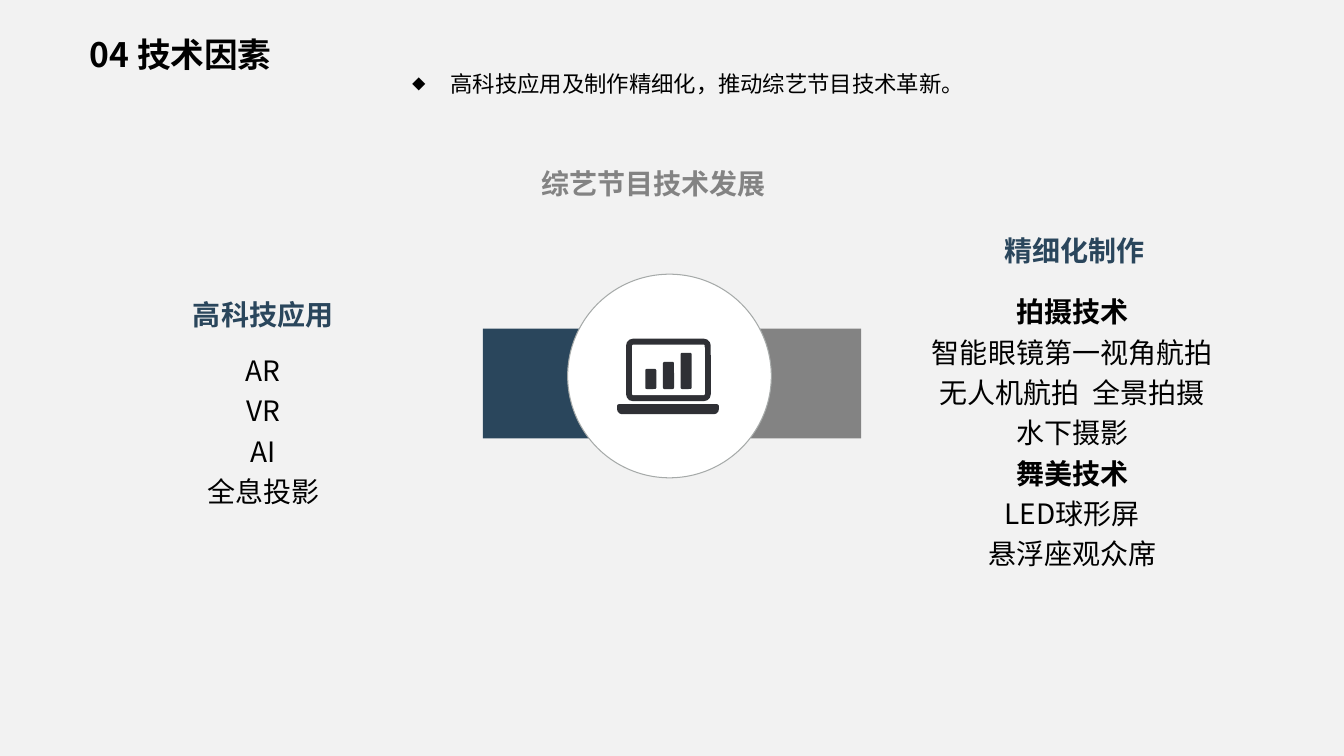
from lxml import etree
from pptx import Presentation
from pptx.dml.color import RGBColor
from pptx.enum import shapes, text
from pptx.oxml import ns
from pptx.util import Inches, Pt

FONT = "Noto Sans CJK SC"
BLACK = RGBColor(0x00, 0x00, 0x00)
WHITE = RGBColor(0xFF, 0xFF, 0xFF)
PAPER = RGBColor(0xF2, 0xF2, 0xF2)
NAVY = RGBColor(0x2A, 0x46, 0x5C)
GREY = RGBColor(0x83, 0x83, 0x83)
RING = RGBColor(0xA6, 0xAA, 0xA9)
INK = RGBColor(0x2F, 0x30, 0x35)

TITLE = "04 技术因素"
SUMMARY = "高科技应用及制作精细化，推动综艺节目技术革新。"
HEADINGS = [  # text, left, top, colour, alignment
    ("高科技应用", 1.34, 2.8, NAVY, text.PP_ALIGN.CENTER),
    ("综艺节目技术发展", 5.37, 1.5, GREY, text.PP_ALIGN.LEFT),
    ("精细化制作", 9.39, 2.16, NAVY, text.PP_ALIGN.CENTER),
]
HEADING_SIZE = (2.54, 0.64)
LISTS = [  # box, lines of (text, bold)
    ((1.34, 3.44, 2.54, 1.37),
     [("AR", False), ("VR", False), ("AI", False), ("全息投影", False)]),
    ((9.21, 2.86, 2.85, 3.15),
     [("拍摄技术", True), ("智能眼镜第一视角航拍", False),
      ("无人机航拍  全景拍摄", False), ("水下摄影", False),
      ("舞美技术", True), ("LED球形屏", False), ("悬浮座观众席", False)]),
]

SLIDE_SIZE = (13.33, 7.5)
BAND_SIDE, BAND_TOP = 1.09, 3.26
BANDS = [(4.79, NAVY), (7.45, GREY)]
CIRCLE = (5.63, 2.72, 2.02, 2.02)
SCREEN_LEFT, SCREEN_TOP, SCREEN_WIDTH, SCREEN_HEIGHT = 6.21, 3.36, 0.84, 0.62
FRAME = 0.06
BASE = (6.12, 4.01, 1.01, 0.1)
BAR_HEIGHTS = [0.2, 0.27, 0.36]
BAR_LEFT, BAR_STEP, BAR_WIDTH, BAR_BOTTOM = 6.4, 0.175, 0.11, 3.86

presentation = Presentation()
presentation.slide_width, presentation.slide_height = map(Inches, SLIDE_SIZE)
slide = presentation.slides.add_slide(presentation.slide_layouts[5])


def add_figure(kind, box, fill, adjustments=(), line=None):
    figure = slide.shapes.add_shape(kind, *map(Inches, box))
    figure.shadow.inherit = False
    figure.fill.solid()
    figure.fill.fore_color.rgb = fill
    if line is None:
        figure.line.fill.background()
    else:
        figure.line.color.rgb = line
        figure.line.width = Pt(0.75)
    for index, value in enumerate(adjustments):
        figure.adjustments[index] = value


def set_frame(frame, anchor, margins=(0, 0)):
    """Margins are the horizontal and the vertical one, in inches."""
    frame.word_wrap = True
    frame.auto_size = text.MSO_AUTO_SIZE.NONE
    frame.vertical_anchor = anchor
    frame.margin_left = frame.margin_right = Inches(margins[0])
    frame.margin_top = frame.margin_bottom = Inches(margins[1])
    return frame


def add_text_box(box, anchor, margins=(0, 0)):
    text_box = slide.shapes.add_textbox(*map(Inches, box))
    return set_frame(text_box.text_frame, anchor, margins)


def write(paragraph, words, size, colour, bold, alignment, spacing=1.0):
    paragraph.alignment = alignment
    paragraph.line_spacing = spacing
    run = paragraph.add_run()
    run.text = words
    run.font.size = Pt(size)
    run.font.bold = bold
    run.font.color.rgb = colour
    run.font.name = FONT
    east_asian = etree.SubElement(run.font._element, ns.qn("a:ea"))
    east_asian.set("typeface", FONT)


def add_diamond(paragraph, indent):
    properties = paragraph._p.get_or_add_pPr()
    properties.set("marL", str(Inches(indent)))
    properties.set("indent", str(-Inches(indent)))
    etree.SubElement(properties, ns.qn("a:buSzPct")).set("val", "60000")
    etree.SubElement(properties, ns.qn("a:buFont")).set("typeface", FONT)
    etree.SubElement(properties, ns.qn("a:buChar")).set("char", "◆")


def add_laptop():
    rounded = shapes.MSO_SHAPE.ROUNDED_RECTANGLE
    add_figure(rounded, (SCREEN_LEFT, SCREEN_TOP, SCREEN_WIDTH, SCREEN_HEIGHT),
               INK, [0.11])
    add_figure(rounded, (SCREEN_LEFT + FRAME, SCREEN_TOP + FRAME,
                         SCREEN_WIDTH - 2 * FRAME, SCREEN_HEIGHT - 2 * FRAME),
               WHITE, [0.02])
    for index, height in enumerate(BAR_HEIGHTS):
        left = BAR_LEFT + index * BAR_STEP
        add_figure(rounded, (left, BAR_BOTTOM - height, BAR_WIDTH, height),
                   INK, [0.14])
    add_figure(shapes.MSO_SHAPE.ROUND_2_SAME_RECTANGLE, BASE, INK, [0.2, 0.5])


add_figure(shapes.MSO_SHAPE.RECTANGLE, (0, 0, *SLIDE_SIZE), PAPER)
for left, colour in BANDS:
    add_figure(shapes.MSO_SHAPE.RECTANGLE,
               (left, BAND_TOP, BAND_SIDE, BAND_SIDE), colour)
add_figure(shapes.MSO_SHAPE.OVAL, CIRCLE, WHITE, line=RING)
add_laptop()

for words, left, top, colour, alignment in HEADINGS:
    frame = add_text_box((left, top, *HEADING_SIZE), text.MSO_ANCHOR.MIDDLE)
    write(frame.paragraphs[0], words, 20, colour, True, alignment)

for box, lines in LISTS:
    frame = add_text_box(box, text.MSO_ANCHOR.TOP)
    for index, (words, bold) in enumerate(lines):
        paragraph = frame.add_paragraph() if index else frame.paragraphs[0]
        write(paragraph, words, 20, BLACK, bold, text.PP_ALIGN.CENTER, 1.2)

title = slide.shapes.title
title.left, title.top, title.width, title.height = map(
    Inches, (0.89, 0.26, 3.11, 0.55))
frame = set_frame(title.text_frame, text.MSO_ANCHOR.MIDDLE, (0, 0.05))
write(frame.paragraphs[0], TITLE, 24, BLACK, True, text.PP_ALIGN.LEFT)
# Bring the title in front of the paper rectangle.
title._element.getparent().append(title._element)

frame = add_text_box((3.99, 0.51, 5.64, 0.5), text.MSO_ANCHOR.TOP, (0.1, 0.05))
add_diamond(frame.paragraphs[0], 0.38)
write(frame.paragraphs[0], SUMMARY, 16, BLACK, False, text.PP_ALIGN.LEFT, 1.5)

presentation.save("out.pptx")
